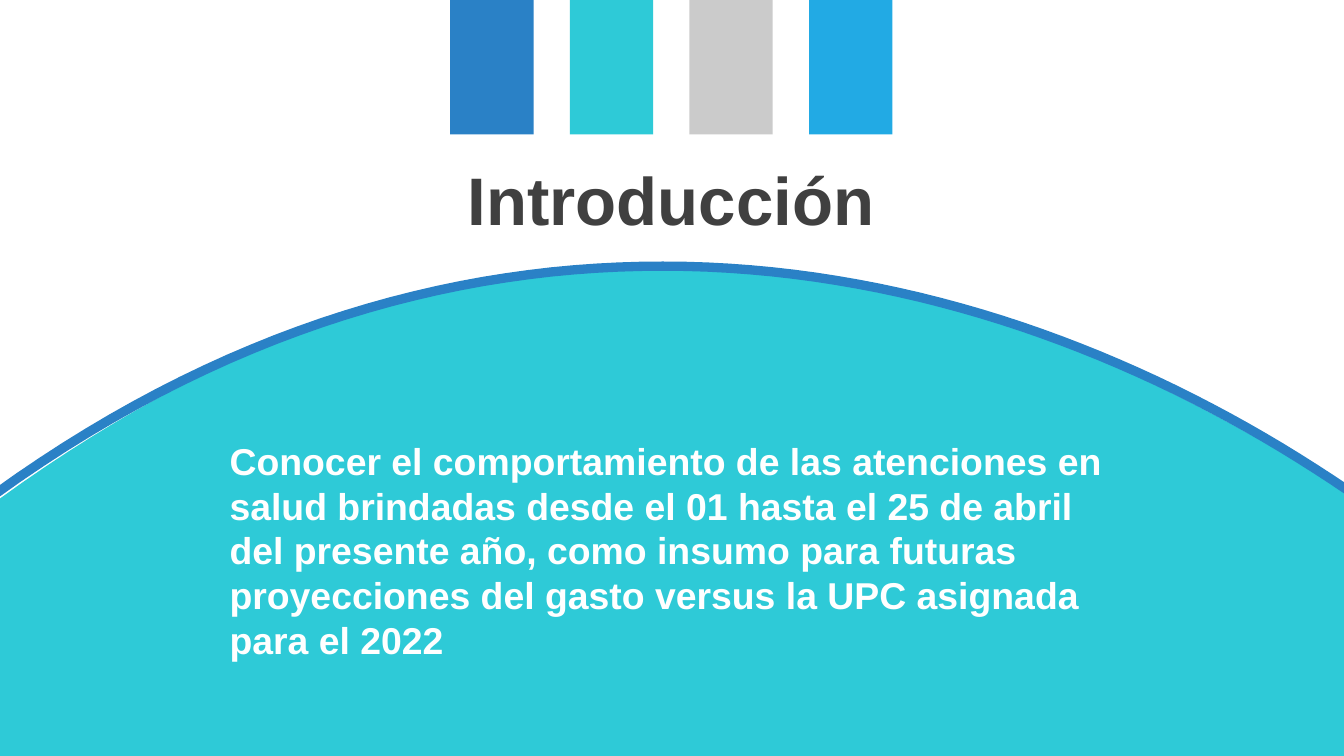
from pptx import Presentation
from pptx.dml.color import RGBColor
from pptx.enum.shapes import MSO_SHAPE as Shape
from pptx.enum.text import MSO_ANCHOR as Anchor, PP_ALIGN as Align
from pptx.util import Inches, Pt

WIDTH = 10
HEIGHT = WIDTH * 9 / 16
BLUE, TURQUOISE, GRAY, SKY = "2A81C6", "2ECAD7", "CBCBCB", "22AAE4"

TITLE = "Introducción"
BODY = (
    "Conocer el comportamiento de las atenciones en salud brindadas desde "
    "el 01 hasta el 25 de abril del presente año, como insumo para futuras "
    "proyecciones del gasto versus la UPC asignada para el 2022"
)

BAR_COLORS = [BLUE, TURQUOISE, GRAY, SKY]
BAR_LEFT, BAR_PITCH, BAR_WIDTH, BAR_HEIGHT = 3.35, 0.89, 0.62, 1

# Bézier control points, in inches
HILL_TOP = [(0, 3.71), (3.66, 1.06), (6.94, 1.71), (10, 3.65)]
HILL_BASE = [(10, 5.65), (0, 5.65)]
HILL_EDGE = [(-0.04, 3.68), (3.68, 0.99), (7.45, 1.89), (10.03, 3.65)]


def color(hex_value):
    return RGBColor.from_string(hex_value)


def curve_points(controls, steps=64):
    """Return points along a cubic Bézier curve."""
    points = []
    for step in range(steps + 1):
        t = step / steps
        weights = ((1 - t) ** 3, 3 * t * (1 - t) ** 2, 3 * t**2 * (1 - t), t**3)
        points.append(tuple(
            sum(weight * control[axis] for weight, control in zip(weights, controls))
            for axis in (0, 1)
        ))
    return points


def add_outline(slide, points, close):
    corners = [(Inches(x), Inches(y)) for x, y in points]
    builder = slide.shapes.build_freeform(*corners[0])
    builder.add_line_segments(corners[1:], close=close)
    shape = builder.convert_to_shape()
    shape.shadow.inherit = False
    return shape


def fill_plain(shape, fill):
    shape.shadow.inherit = False
    shape.fill.solid()
    shape.fill.fore_color.rgb = color(fill)
    shape.line.fill.background()


def add_text(slide, text, box, size, fill, align=Align.LEFT, anchor=Anchor.TOP):
    frame = slide.shapes.add_textbox(*map(Inches, box)).text_frame
    frame.word_wrap = True
    frame.vertical_anchor = anchor
    paragraph = frame.paragraphs[0]
    paragraph.alignment = align
    run = paragraph.add_run()
    run.text = text
    run.font.name = "Arial"
    run.font.size = Pt(size)
    run.font.bold = True
    run.font.color.rgb = color(fill)


def main():
    presentation = Presentation()
    presentation.slide_width = Inches(WIDTH)
    presentation.slide_height = Inches(HEIGHT)
    slide = presentation.slides.add_slide(presentation.slide_layouts[6])

    hill = add_outline(slide, curve_points(HILL_TOP) + HILL_BASE, close=True)
    fill_plain(hill, TURQUOISE)
    edge = add_outline(slide, curve_points(HILL_EDGE), close=False)
    edge.fill.background()
    edge.line.color.rgb = color(BLUE)
    edge.line.width = Pt(5)

    for index, bar_color in enumerate(BAR_COLORS):
        left = BAR_LEFT + index * BAR_PITCH
        bar = slide.shapes.add_shape(
            Shape.RECTANGLE, Inches(left), 0, Inches(BAR_WIDTH), Inches(BAR_HEIGHT)
        )
        fill_plain(bar, bar_color)

    add_text(slide, TITLE, (2.18, 1.16, 5.63, 0.63), size=36, fill="404040",
             align=Align.CENTER, anchor=Anchor.MIDDLE)
    add_text(slide, BODY, (1.61, 3.21, 6.77, 1.78), size=20, fill="FFFFFF")

    presentation.save("out.pptx")


if __name__ == "__main__":
    main()
